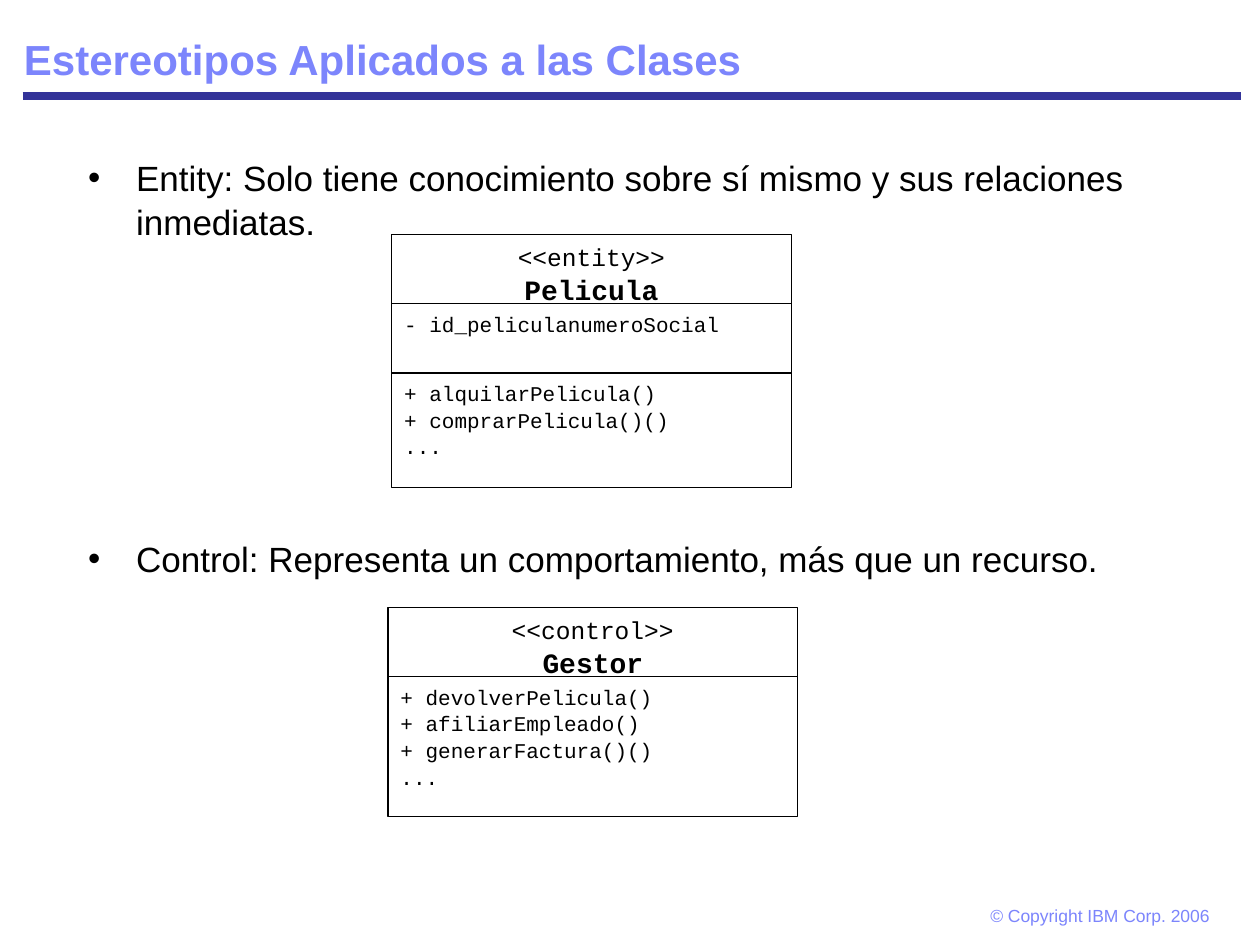
from lxml import etree
from pptx import Presentation
from pptx.dml.color import RGBColor
from pptx.enum.shapes import MSO_CONNECTOR, MSO_SHAPE
from pptx.enum.text import MSO_ANCHOR, MSO_AUTO_SIZE, PP_ALIGN
from pptx.oxml.ns import qn
from pptx.util import Inches, Pt

LEFT, CENTER = PP_ALIGN.LEFT, PP_ALIGN.CENTER
TOP, BOTTOM = MSO_ANCHOR.TOP, MSO_ANCHOR.BOTTOM
RECTANGLE, STRAIGHT = MSO_SHAPE.RECTANGLE, MSO_CONNECTOR.STRAIGHT
NO_AUTOFIT = MSO_AUTO_SIZE.NONE

BLACK = RGBColor(0x00, 0x00, 0x00)
NAVY = RGBColor(0x33, 0x33, 0x99)
LAVENDER = RGBColor(0x7C, 0x85, 0xFC)
SANS, MONO = "Arial", "Courier New"

TITLE = "Estereotipos Aplicados a las Clases"
DEFINITIONS = [
    "Entity: Solo tiene conocimiento sobre sí mismo y sus relaciones inmediatas.",
    "Control: Representa un comportamiento, más que un recurso.",
]
COPYRIGHT = "© Copyright IBM Corp. 2006"
CLASSES = [
    {
        "left": 3.11, "top": 1.86, "width": 3.17,
        "header": ["<<entity>>", "Pelicula"],
        "compartments": [
            (0.55, ["- id_peliculanumeroSocial"]),
            (0.91, ["+ alquilarPelicula()", "+ comprarPelicula()()", "..."]),
        ],
    },
    {
        "left": 3.08, "top": 4.82, "width": 3.25,
        "header": ["<<control>>", "Gestor"],
        "compartments": [
            (1.11, ["+ devolverPelicula()", "+ afiliarEmpleado()",
                    "+ generarFactura()()", "..."]),
        ],
    },
]
HEADER_HEIGHT = 0.55


def place(part, left, top, width, height):
    part.left, part.top = Inches(left), Inches(top)
    part.width, part.height = Inches(width), Inches(height)


def style(paragraph, face, size, color, bold=False, align=LEFT):
    paragraph.alignment = align
    font = paragraph.font
    font.name, font.size, font.bold = face, Pt(size), bold
    font.color.rgb = color


def add_bullet(paragraph):
    properties = paragraph._p.get_or_add_pPr()
    properties.set("marL", str(Inches(0.38)))
    properties.set("indent", str(-Inches(0.38)))
    etree.SubElement(properties, qn("a:buFont")).set("typeface", SANS)
    etree.SubElement(properties, qn("a:buChar")).set("char", "•")


def add_compartment(group, left, top, width, height, lines):
    box = group.shapes.add_shape(
        RECTANGLE, Inches(left), Inches(top), Inches(width), Inches(height))
    box.shadow.inherit = False
    box.fill.background()
    box.line.color.rgb = BLACK
    box.line.width = Pt(0.75)
    frame = box.text_frame
    frame.word_wrap = True
    frame.vertical_anchor = TOP
    frame.text = "\n".join(lines)
    return frame.paragraphs


def add_class(slide, left, top, width, header, compartments):
    group = slide.shapes.add_group_shape()
    stereotype, name = add_compartment(
        group, left, top, width, HEADER_HEIGHT, header)
    style(stereotype, MONO, 14, BLACK, align=CENTER)
    style(name, MONO, 16, BLACK, bold=True, align=CENTER)
    stereotype.line_spacing = name.line_spacing = 1.04
    top += HEADER_HEIGHT
    for height, members in compartments:
        for member in add_compartment(group, left, top, width, height, members):
            style(member, MONO, 12, BLACK)
            member.line_spacing = 1.06
        top += height


def main():
    deck = Presentation()
    deck.slide_width, deck.slide_height = Inches(10), Inches(7.5)
    slide = deck.slides.add_slide(deck.slide_layouts[1])

    rule = slide.shapes.add_connector(
        STRAIGHT, Inches(0.18), Inches(0.76), Inches(9.85), Inches(0.76))
    rule.line.color.rgb = NAVY
    rule.line.width = Pt(4.5)
    etree.SubElement(rule._element.spPr, qn("a:effectLst"))

    title = slide.shapes.title
    place(title, 0.09, 0.09, 9.8, 0.63)
    title.text_frame.text = TITLE
    title.text_frame.auto_size = NO_AUTOFIT
    title.text_frame.vertical_anchor = BOTTOM
    heading = title.text_frame.paragraphs[0]
    style(heading, SANS, 24, LAVENDER, bold=True)
    heading.line_spacing = 0.9

    body = slide.placeholders[1]
    place(body, 0.6, 1.18, 8.8, 5.38)
    body.text_frame.text = "\n".join(DEFINITIONS)
    body.text_frame.auto_size = NO_AUTOFIT
    for definition, gap in zip(body.text_frame.paragraphs, (0, 168)):
        add_bullet(definition)
        style(definition, SANS, 20, BLACK)
        definition.space_before = Pt(gap)
        definition.line_spacing = 1.04

    for diagram in CLASSES:
        add_class(slide, **diagram)

    footer = slide.shapes.add_textbox(
        Inches(7.71), Inches(7.11), Inches(2.04), Inches(0.32))
    notice = footer.text_frame
    notice.margin_left = notice.margin_right = Inches(0.15)
    notice.margin_top = notice.margin_bottom = Inches(0.07)
    notice.text = COPYRIGHT
    style(notice.paragraphs[0], SANS, 10, LAVENDER)

    deck.save("out.pptx")


if __name__ == "__main__":
    main()
